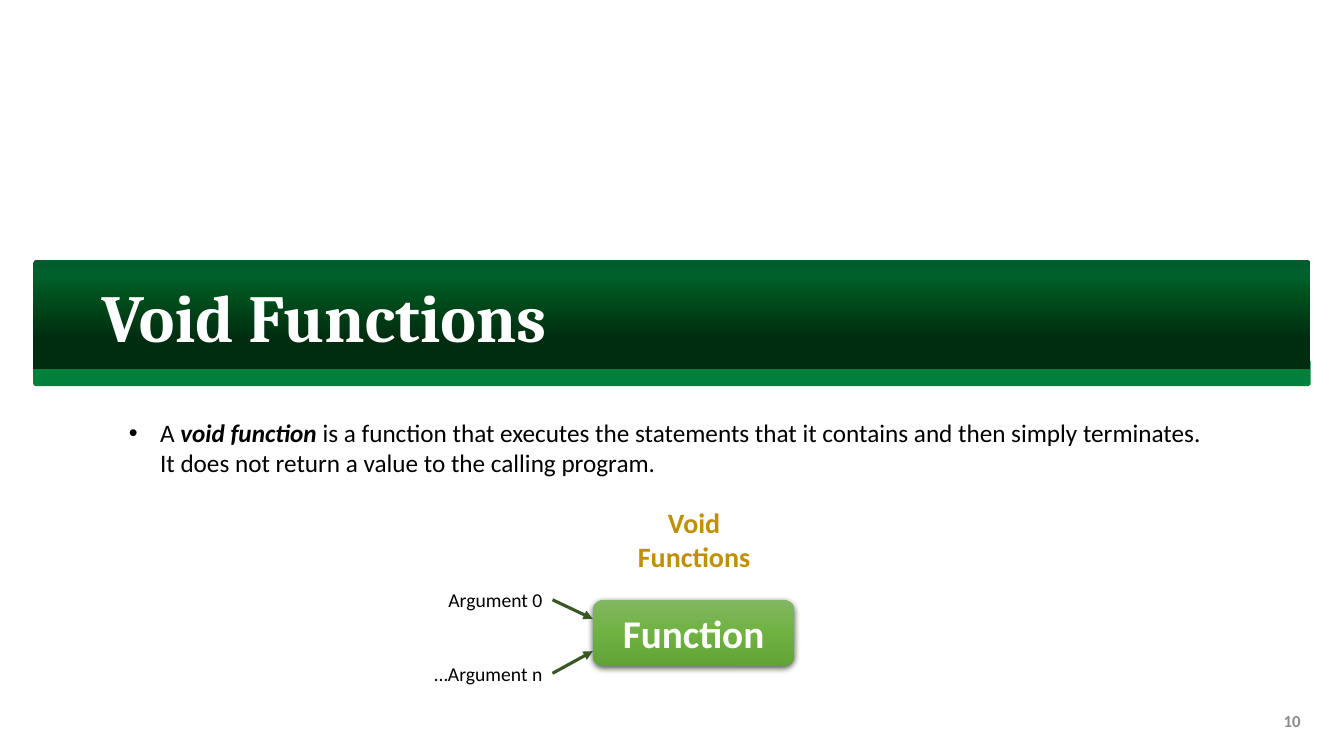
import pptx
import pptx.util
from lxml import etree
from pptx.dml.color import RGBColor
from pptx.enum.shapes import MSO_CONNECTOR, MSO_SHAPE
from pptx.enum.text import MSO_ANCHOR, MSO_AUTO_SIZE, PP_ALIGN
from pptx.oxml.ns import qn
from pptx.util import Inches

WHITE = RGBColor(0xFF, 0xFF, 0xFF)
BLACK = RGBColor(0, 0, 0)
GRAY = RGBColor(0x8C, 0x8C, 0x8C)
GOLD = RGBColor(0xBF, 0x90, 0x00)
BAND_GREEN = RGBColor(0x00, 0x81, 0x3B)
ARROW_GREEN = RGBColor(0x38, 0x57, 0x23)
# Gradient stops: position in percent, colour
BANNER_STOPS = [
    (0, RGBColor(0x00, 0x5C, 0x2B)),
    (15, RGBColor(0x00, 0x60, 0x2B)),
    (32, RGBColor(0x00, 0x50, 0x1D)),
    (72, RGBColor(0x00, 0x2D, 0x10)),
]
FUNCTION_STOPS = [
    (0, RGBColor(0x81, 0xB8, 0x61)),
    (50, RGBColor(0x6F, 0xB2, 0x42)),
    (100, RGBColor(0x62, 0xA3, 0x36)),
]


def add_panel(slide, preset, box, corners=()):
    panel = slide.shapes.add_shape(preset, *map(Inches, box))
    panel.shadow.inherit = False
    panel.line.fill.background()
    for index, corner in enumerate(corners):
        panel.adjustments[index] = corner
    return panel


def fill_downward(panel, stops):
    """Fill with a gradient that runs from top to bottom."""
    panel.fill.gradient()
    panel.fill.gradient_angle = 270
    stop_list = next(panel._element.spPr.iter(qn("a:gsLst")))
    for old_stop in list(stop_list):
        stop_list.remove(old_stop)
    for percent, color in stops:
        stop = etree.SubElement(stop_list, qn("a:gs"), pos=str(percent * 1000))
        etree.SubElement(stop, qn("a:srgbClr"), val=str(color))


def add_drop_shadow(panel, blur, distance, opacity):
    effects = panel._element.spPr.find(qn("a:effectLst"))
    shadow = etree.SubElement(
        effects, qn("a:outerShdw"),
        blurRad=str(pptx.util.Pt(blur)), dist=str(pptx.util.Pt(distance)),
        dir="5400000", algn="ctr", rotWithShape="0")
    color = etree.SubElement(shadow, qn("a:srgbClr"), val=str(BLACK))
    etree.SubElement(color, qn("a:alpha"), val=str(opacity * 1000))


def style_paragraph(paragraph, size, color, bold=None, align=None, font="Calibri"):
    paragraph.alignment = align
    paragraph.font.name = font
    paragraph.font.size = pptx.util.Pt(size)
    paragraph.font.color.rgb = color
    paragraph.font.bold = bold


def add_text(slide, box, lines, size, color, wrap=False, anchor=MSO_ANCHOR.TOP, **style):
    frame = slide.shapes.add_textbox(*map(Inches, box)).text_frame
    frame.word_wrap = wrap
    frame.auto_size = MSO_AUTO_SIZE.NONE if wrap else MSO_AUTO_SIZE.SHAPE_TO_FIT_TEXT
    frame.vertical_anchor = anchor
    frame.text = "\n".join(lines)
    for paragraph in frame.paragraphs:
        style_paragraph(paragraph, size, color, **style)
    return frame


def add_bullet(paragraph, indent):
    properties = paragraph._p.get_or_add_pPr()
    properties.set("marL", str(Inches(indent)))
    properties.set("indent", str(-Inches(indent)))
    font = etree.Element(qn("a:buFont"), typeface="Arial")
    properties.insert(0, font)
    font.addnext(etree.Element(qn("a:buChar"), char="\u2022"))


def add_arrow(slide, start, end):
    arrow = slide.shapes.add_connector(MSO_CONNECTOR.STRAIGHT, *map(Inches, start + end))
    arrow.line.color.rgb = ARROW_GREEN
    arrow.line.width = pptx.util.Pt(2.25)
    etree.SubElement(arrow.line._get_or_add_ln(), qn("a:tailEnd"), type="triangle")
    etree.SubElement(arrow._element.spPr, qn("a:effectLst"))


def add_definition(slide):
    frame = add_text(slide, (1.18, 4.09, 10.97, 0.71), [""], 18, BLACK)
    paragraph = frame.paragraphs[0]
    add_bullet(paragraph, 0.31)
    paragraph.add_run().text = "A "
    term = paragraph.add_run()
    term.text = "void function "
    term.font.bold = term.font.italic = True
    paragraph.add_run().text = (
        "is a function that executes the statements that it contains "
        "and then simply terminates.")
    paragraph.add_line_break()
    paragraph.add_run().text = "It does not return a value to the calling program."


def add_function_diagram(slide):
    function = add_panel(slide, MSO_SHAPE.ROUNDED_RECTANGLE, (5.88, 5.95, 2, 0.66))
    fill_downward(function, FUNCTION_STOPS)
    add_drop_shadow(function, 4.5, 1.5, 63)
    function.text_frame.text = "Function"
    function.text_frame.vertical_anchor = MSO_ANCHOR.MIDDLE
    style_paragraph(function.text_frame.paragraphs[0], 28, WHITE, True, PP_ALIGN.CENTER)

    # Arguments end at the same x, where their arrows begin
    arguments_right = 5.48
    arguments = [
        ("Argument 0", 1.14, 5.78, 5.95, 6.14),
        ("\u2026Argument n", 1.28, 6.52, 6.68, 6.46),
    ]
    for label, width, top, arrow_start, arrow_end in arguments:
        add_arrow(slide, (arguments_right, arrow_start), (5.88, arrow_end))
        add_text(slide, (arguments_right - width, top, width, 0.34), [label],
                 14, BLACK, align=PP_ALIGN.RIGHT)

    add_text(slide, (6.22, 4.97, 1.33, 0.77), ["Void", "Functions"], 20, GOLD,
             bold=True, align=PP_ALIGN.CENTER)


def main():
    presentation = pptx.Presentation()
    presentation.slide_width = Inches(13.33)
    presentation.slide_height = Inches(7.5)
    slide = presentation.slides.add_slide(presentation.slide_layouts[6])

    # Title banner: green band rounded below, dark banner rounded above
    band = add_panel(slide, MSO_SHAPE.ROUND_2_SAME_RECTANGLE,
                     (0.33, 3.58, 12.67, 0.25), (0, 0.11))
    band.fill.solid()
    band.fill.fore_color.rgb = BAND_GREEN
    banner = add_panel(slide, MSO_SHAPE.ROUND_2_SAME_RECTANGLE,
                       (0.33, 2.58, 12.67, 1.08), (0.03, 0))
    fill_downward(banner, BANNER_STOPS)

    # Slide number and title
    add_text(slide, (10, 6.95, 3, 0.4), ["10"], 12, GRAY, wrap=True,
             anchor=MSO_ANCHOR.MIDDLE, bold=True, align=PP_ALIGN.RIGHT)
    title = add_text(slide, (0.91, 2.67, 11.5, 1.02), ["Void Functions"], 48, WHITE,
                     wrap=True, anchor=MSO_ANCHOR.MIDDLE, bold=True, font="Cambria")
    title.paragraphs[0].line_spacing = 0.9

    # Content
    add_function_diagram(slide)
    add_definition(slide)
    presentation.save("out.pptx")


main()
